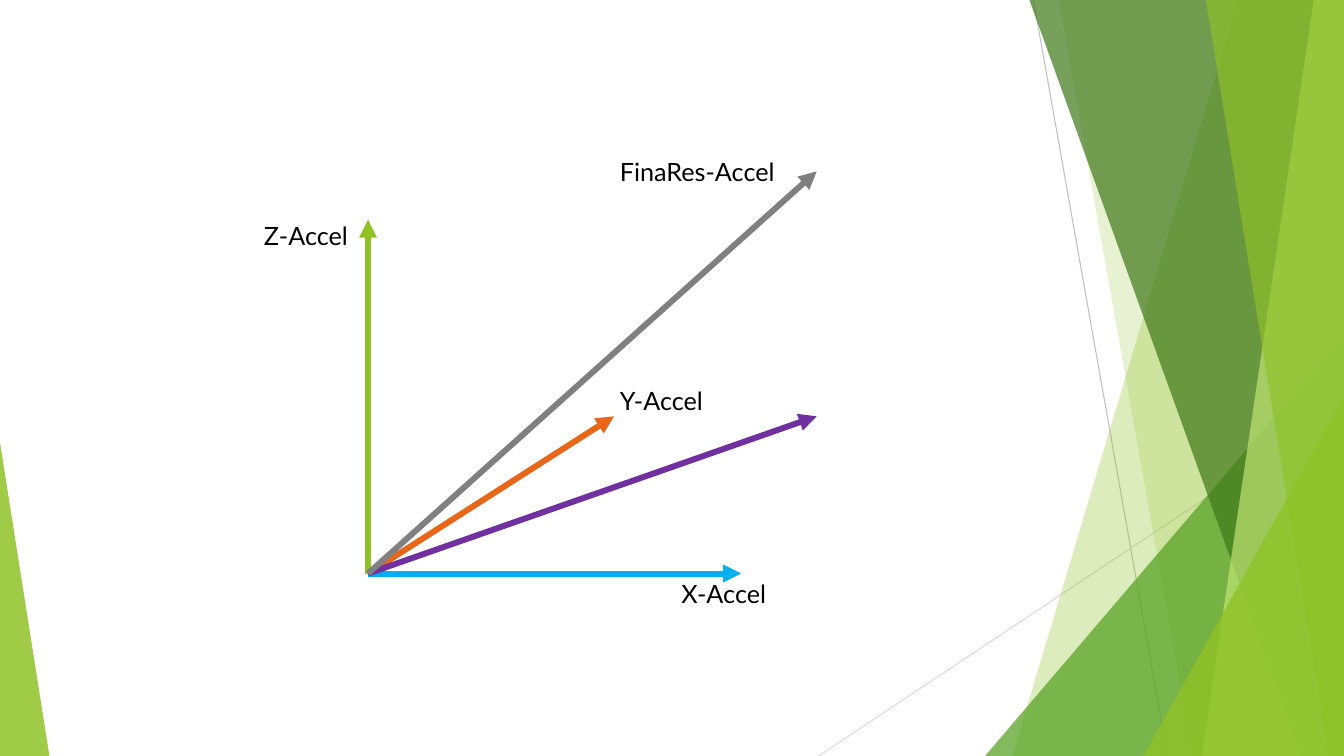
from dataclasses import dataclass

from lxml import etree
from pptx import Presentation
from pptx.dml.color import RGBColor
from pptx.enum.shapes import MSO_CONNECTOR, MSO_SHAPE
from pptx.enum.text import MSO_AUTO_SIZE
from pptx.oxml.ns import qn
from pptx.util import Inches, Pt

STRAIGHT = MSO_CONNECTOR.STRAIGHT
TRIANGLE = MSO_SHAPE.ISOSCELES_TRIANGLE
GROW = MSO_AUTO_SIZE.SHAPE_TO_FIT_TEXT


@dataclass(frozen=True)
class Theme:
    font: str = "Lato"
    label_size: int = 18
    text: str = "000000"
    green: str = "90C226"
    mid_green: str = "54A021"
    dark_green: str = "3F7819"
    light_green: str = "C0E474"
    orange: str = "E76618"
    blue: str = "00B0F0"
    purple: str = "7030A0"
    gray: str = "808080"
    guide: str = "BFBFBF"
    pale_guide: str = "D9D9D9"
    guide_width: float = 0.75
    vector_width: float = 4.25


theme = Theme()
WIDTH, HEIGHT = 13.33, 7.5

presentation = Presentation()
presentation.slide_width = Inches(WIDTH)
presentation.slide_height = Inches(HEIGHT)
slide = presentation.slides.add_slide(presentation.slide_layouts[6])
shapes = slide.shapes


def add_line(start, end, color, width):
    connector = shapes.add_connector(STRAIGHT, *map(Inches, start + end))
    connector.line.color.rgb = RGBColor.from_string(color)
    connector.line.width = Pt(width)
    etree.SubElement(connector._element.spPr, qn("a:effectLst"))
    return connector


def paint_facet(shape, color, opacity):
    shape.shadow.inherit = False
    shape.line.fill.background()
    shape.fill.solid()
    shape.fill.fore_color.rgb = RGBColor.from_string(color)
    color_element = shape._element.spPr.find(".//" + qn("a:srgbClr"))
    etree.SubElement(color_element, qn("a:alpha"), val=str(opacity * 1000))


add_line((10.25, 0), (11.58, HEIGHT), theme.guide, theme.guide_width)
add_line((WIDTH, 4.03), (8.12, HEIGHT), theme.pale_guide, theme.guide_width)

facets = [
    ("band", 12.28, 10.04, theme.green, 30),
    ("band", 10.5, 11.83, theme.green, 20),
    ("triangle", 9.77, 3.33, theme.mid_green, 72),
    ("band", 10.21, 12.91, theme.dark_green, 70),
    ("band", 13.03, 11.92, theme.light_green, 70),
    ("band", 11.96, 13.18, theme.green, 65),
    ("triangle", 11.34, 3.93, theme.green, 80),
]
for kind, first, second, color, opacity in facets:
    if kind == "band":
        top_x, bottom_x = first, second
        builder = shapes.build_freeform(Inches(top_x), 0)
        corners = [(WIDTH, 0), (WIDTH, HEIGHT), (bottom_x, HEIGHT)]
        builder.add_line_segments([(Inches(x), Inches(y)) for x, y in corners])
        facet = builder.convert_to_shape()
    else:
        left, top = first, second
        facet = shapes.add_shape(
            TRIANGLE, Inches(left), Inches(top), Inches(WIDTH - left), Inches(HEIGHT - top)
        )
        facet.adjustments[0] = 1
    paint_facet(facet, color, opacity)

left_facet = shapes.add_shape(TRIANGLE, 0, Inches(4.39), Inches(0.49), Inches(3.11))
left_facet.adjustments[0] = 0
paint_facet(left_facet, theme.green, 85)

origin = (3.65, 5.69)
vectors = [
    ((6.09, 4.13), theme.orange),
    ((7.35, 5.69), theme.blue),
    ((3.65, 2.18), theme.green),
    ((8.1, 4.13), theme.purple),
    ((8.1, 1.7), theme.gray),
]
for tip, color in vectors:
    vector = add_line(origin, tip, color, theme.vector_width)
    line_element = vector._element.spPr.find(qn("a:ln"))
    etree.SubElement(line_element, qn("a:tailEnd"), type="triangle")

labels = [
    ("Y-Accel", 6.05, 3.77, 1.07),
    ("X-Accel", 6.66, 5.69, 1.07),
    ("Z-Accel", 2.52, 2.14, 1.07),
    ("FinaRes-Accel", 6.05, 1.5, 1.79),
]
for text, left, top, width in labels:
    label = shapes.add_textbox(Inches(left), Inches(top), Inches(width), Inches(0.4))
    text_frame = label.text_frame
    text_frame.word_wrap = True
    text_frame.auto_size = GROW
    text_frame.text = text
    font = text_frame.paragraphs[0].runs[0].font
    font.name = theme.font
    font.size = Pt(theme.label_size)
    font.color.rgb = RGBColor.from_string(theme.text)

presentation.save("out.pptx")
